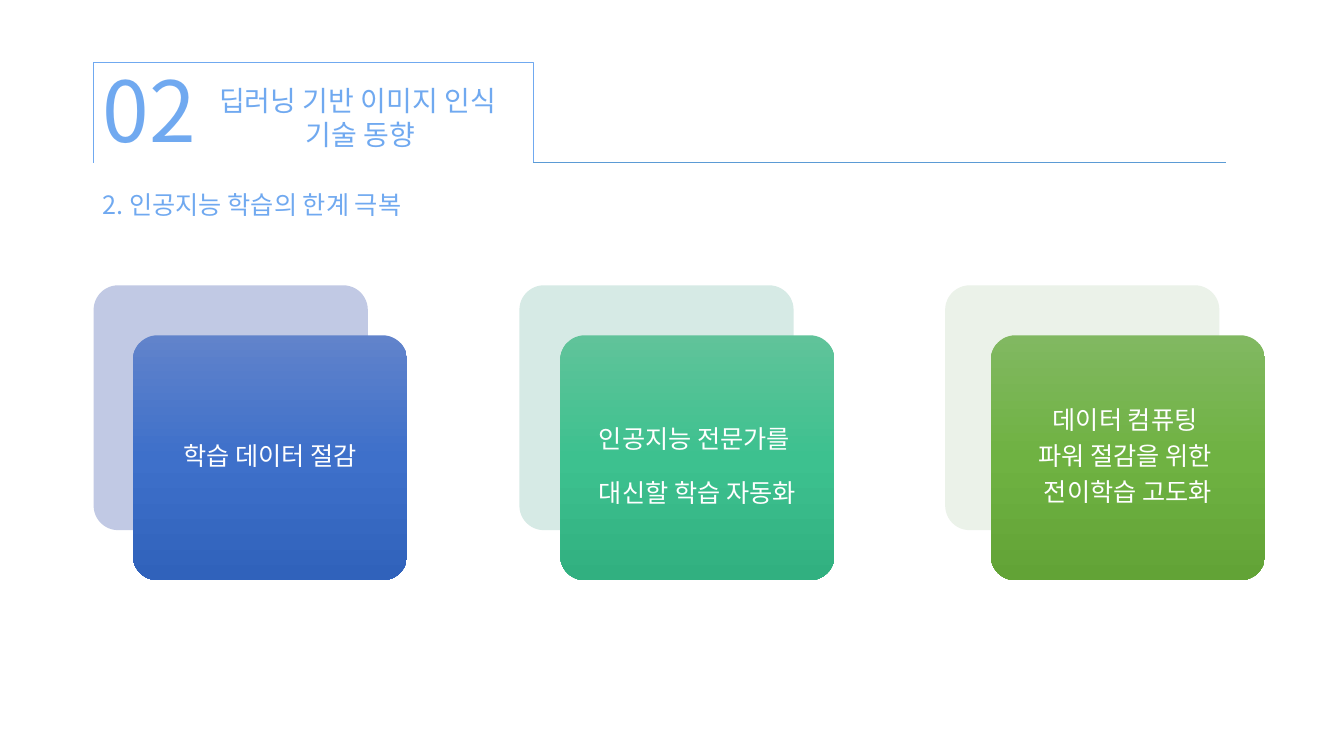
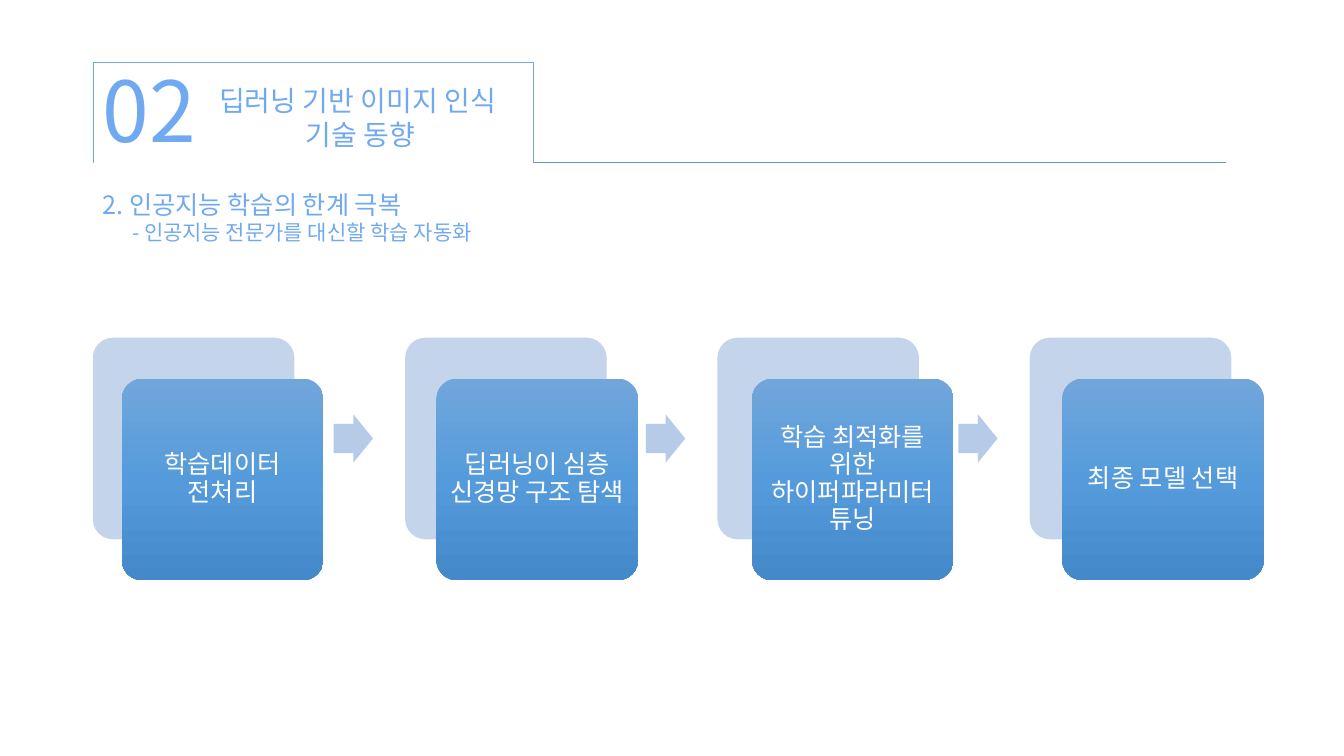
import copy
from dataclasses import dataclass

import lxml.etree
import pptx
import pptx.dml.color
import pptx.enum.shapes
import pptx.enum.text
import pptx.oxml.ns
import pptx.util

Cm = pptx.util.Cm
Pt = pptx.util.Pt
Kind = pptx.enum.shapes.MSO_SHAPE
Align = pptx.enum.text.PP_ALIGN
Anchor = pptx.enum.text.MSO_ANCHOR
qn = pptx.oxml.ns.qn


@dataclass(frozen=True)
class Theme:
    font: str = "Noto Sans CJK KR"
    accent: str = "70A9F0"
    rule: str = "5B9BD5"
    white: str = "FFFFFF"
    arrow: str = "B5CBE7"
    indigo: tuple = ("C1C9E4", "6183CB", "3E70CA", "3062BB")
    green: tuple = ("D6EAE5", "60C39A", "3DC18F", "31B080")
    lime: tuple = ("EBF2E9", "81B861", "6FB242", "62A336")
    blue: tuple = ("C4D5EB", "71A6DB", "559BDB", "448ACA")
    number: float = 60
    title: float = 20
    body: float = 18
    small: float = 15
    line: float = 0.5


@dataclass(frozen=True)
class Card:
    left: float
    lines: tuple
    tones: tuple
    space: float = 0.9


@dataclass(frozen=True)
class Row:
    left: float
    top: float
    pitch: float
    width: float
    height: float
    front: float
    cards: tuple
    arrows: bool = False


THEME = Theme()

LIMITS = Row(
    2.36, 7.19, 10.73, 6.91, 6.17, 8.45,
    (
        Card(3.35, ("학습 데이터 절감",), THEME.indigo),
        Card(14.12, ("인공지능 전문가를 ", "대신할 학습 자동화"), THEME.green, 1.5),
        Card(24.97, ("데이터 컴퓨팅 ", "파워 절감을 위한 ", "전이학습 고도화"), THEME.lime),
    ),
)

STEPS = Row(
    2.34, 8.51, 7.87, 5.08, 5.08, 9.54,
    (
        Card(3.07, ("학습데이터 전처리",), THEME.blue),
        Card(11, ("딥러닝이 심층 신경망 구조 탐색",), THEME.blue),
        Card(18.95, ("학습 최적화를 위한 하이퍼파라미터 튜닝",), THEME.blue),
        Card(26.77, ("최종 모델 선택",), THEME.blue),
    ),
    arrows=True,
)


def color(code: str) -> pptx.dml.color.RGBColor:
    return pptx.dml.color.RGBColor.from_string(code)


def write(frame, text: str, *, size: float, tone: str = THEME.accent,
          align=Align.LEFT, space: float = 1, after: float = 0,
          indent: float = 0, first: bool = True) -> None:
    para = frame.paragraphs[0] if first else frame.add_paragraph()
    para.alignment = align
    para.line_spacing = space
    para.space_after = Pt(after)
    if indent:
        para._p.get_or_add_pPr().set("marL", str(Cm(indent)))
    run = para.add_run()
    run.text = text
    run.font.size = Pt(size)
    run.font.color.rgb = color(tone)
    run.font.name = THEME.font
    east = lxml.etree.SubElement(run._r.get_or_add_rPr(), qn("a:ea"))
    east.set("typeface", THEME.font)


def box(slide, left: float, top: float, width: float, height: float):
    frame = slide.shapes.add_textbox(Cm(left), Cm(top), Cm(width), Cm(height)).text_frame
    frame.word_wrap = True
    return frame


def block(slide, kind, left: float, top: float, width: float, height: float,
          tones: tuple = ()):
    shape = slide.shapes.add_shape(kind, Cm(left), Cm(top), Cm(width), Cm(height))
    shape.shadow.inherit = False
    shape.line.fill.background()
    if not tones:
        shape.fill.background()
    elif len(tones) == 1:
        shape.fill.solid()
        shape.fill.fore_color.rgb = color(tones[0])
    else:
        blend(shape, tones)
    return shape


def blend(shape, tones: tuple) -> None:
    shape.fill.gradient()
    shape.fill.gradient_angle = 270
    stops = shape._element.spPr.find(".//" + qn("a:gsLst"))
    for _ in tones[2:]:
        stops.insert(1, copy.deepcopy(stops[0]))
    for spot, (stop, tone) in enumerate(zip(shape.fill.gradient_stops, tones)):
        stop.position = spot / (len(tones) - 1)
        stop.color.rgb = color(tone)


def stroke(item, tone: str) -> None:
    item.line.color.rgb = color(tone)
    item.line.width = Pt(THEME.line)


def header(slide, note: str = "") -> None:
    frame = block(slide, Kind.RIGHT_BRACKET, 6.63, -2.72, 2.54, 11.1)
    frame.adjustments[0] = 0
    frame.rotation = 270
    stroke(frame, THEME.accent)

    rule = slide.shapes.add_connector(
        pptx.enum.shapes.MSO_CONNECTOR.STRAIGHT, Cm(13.44), Cm(4.09), Cm(30.89), Cm(4.09))
    stroke(rule, THEME.rule)
    lxml.etree.SubElement(rule._element.spPr, qn("a:effectLst"))

    title = box(slide, 1.57, 1.98, 15.04, 1.96)
    write(title, "딥러닝 기반 이미지 인식 ", size=THEME.title, align=Align.CENTER)
    write(title, "기술 동향", size=THEME.title, align=Align.CENTER, first=False)
    write(box(slide, 2.34, 1.34, 5.18, 2.8), "02", size=THEME.number)

    topic = box(slide, 2.34, 4.65, 14.48, 1.68 if note else 1.02)
    write(topic, "2. 인공지능 학습의 한계 극복", size=THEME.body)
    if note:
        write(topic, note, size=THEME.small, indent=0.74, first=False)


def panel(slide, row: Row, card: Card, left: float) -> None:
    size = (row.width, row.height)
    back = block(slide, Kind.ROUNDED_RECTANGLE, left, row.top, *size, card.tones[:1])
    front = block(slide, Kind.ROUNDED_RECTANGLE, card.left, row.front, *size, card.tones[1:])
    for shape in (back, front):
        shape.adjustments[0] = 0.1

    frame = front.text_frame
    frame.word_wrap = True
    frame.vertical_anchor = Anchor.MIDDLE
    frame.margin_left = frame.margin_right = Cm(0.18)
    frame.margin_top = frame.margin_bottom = Cm(0.18)
    for spot, text in enumerate(card.lines):
        write(frame, text, size=THEME.body, tone=THEME.white, align=Align.CENTER,
              space=card.space, after=6.3, first=spot == 0)


def draw(slide, row: Row) -> None:
    for spot, card in enumerate(row.cards):
        left = row.left + spot * row.pitch
        panel(slide, row, card, left)
        if row.arrows and spot < len(row.cards) - 1:
            arrow = block(slide, Kind.RIGHT_ARROW, left + 6.07, 10.44, 0.99, 1.22,
                          (THEME.arrow,))
            arrow.adjustments[0] = 0.6
            arrow.adjustments[1] = 0.5


def main() -> None:
    deck = pptx.Presentation()
    deck.slide_width = Cm(33.87)
    deck.slide_height = Cm(19.05)
    for row, note in ((LIMITS, ""), (STEPS, "- 인공지능 전문가를 대신할 학습 자동화")):
        slide = deck.slides.add_slide(deck.slide_layouts[6])
        header(slide, note)
        draw(slide, row)
    deck.save("out.pptx")


if __name__ == "__main__":
    main()
